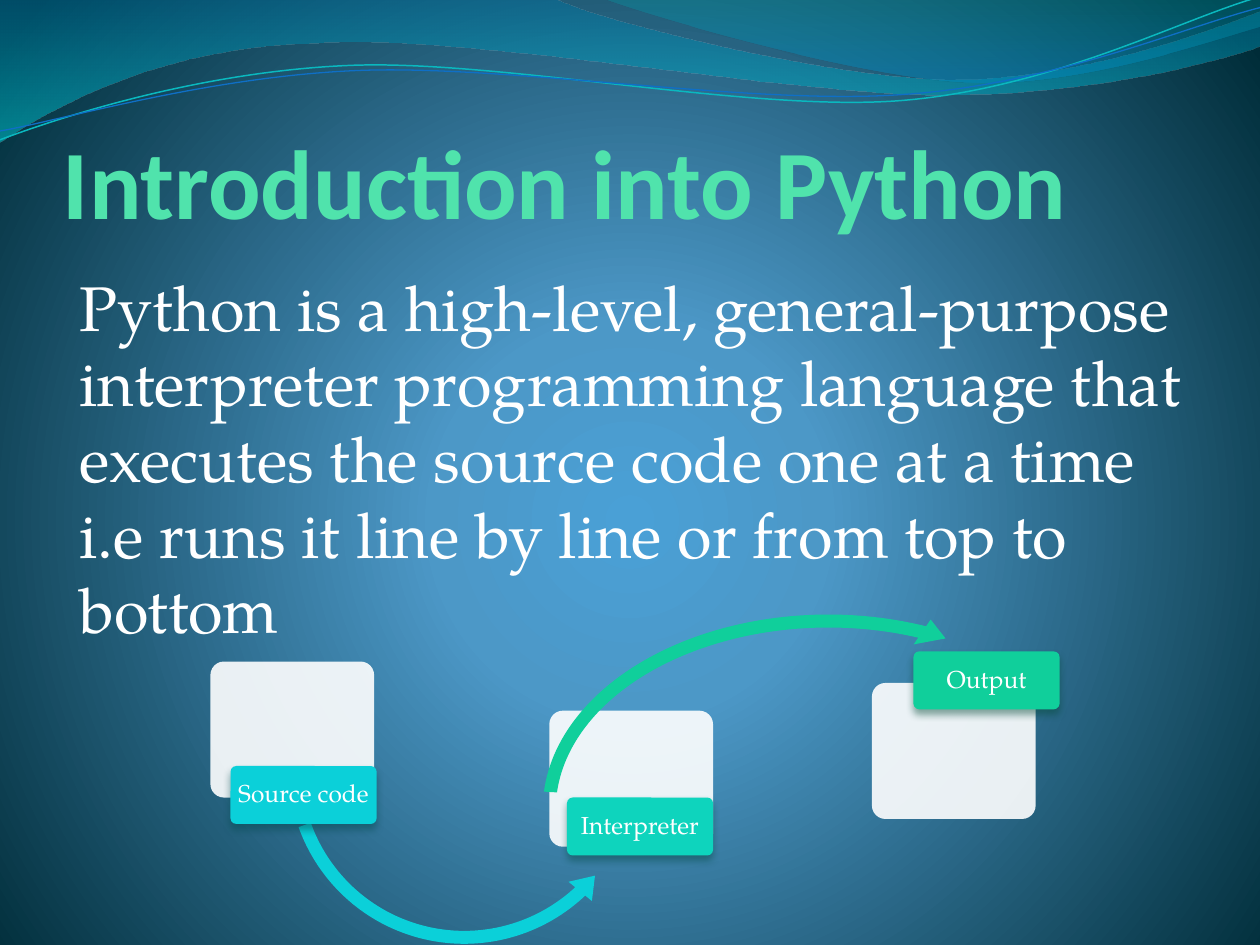
from math import cos, radians, sin

from lxml import etree
from pptx import Presentation
from pptx.dml.color import RGBColor
from pptx.enum.shapes import MSO_SHAPE
from pptx.enum.text import MSO_ANCHOR, PP_ALIGN
from pptx.oxml import parse_xml
from pptx.oxml.ns import nsdecls, qn
from pptx.util import Inches, Pt

ROUNDED = MSO_SHAPE.ROUNDED_RECTANGLE
LEFT_ARC = MSO_SHAPE.LEFT_CIRCULAR_ARROW
RIGHT_ARC = MSO_SHAPE.CIRCULAR_ARROW
TOP, MIDDLE, BOTTOM = MSO_ANCHOR.TOP, MSO_ANCHOR.MIDDLE, MSO_ANCHOR.BOTTOM
LEFT, CENTER = PP_ALIGN.LEFT, PP_ALIGN.CENTER

COLORS = {
    "title": "50E3AC", "text": "FFFFFF", "panel": "FFFFFF",
    "source": "0BD0D9", "interpreter": "0ED4BD", "output": "10CF9B",
    "source_shadow": "024B4E", "interpreter_shadow": "034C44", "output_shadow": "044A37",
    "teal_line": "0AB8BF", "blue_line": "0F6FC6",
    "glow": "4AA0D6", "mid": "4C98C7", "edge": "002C38",
    "wave_blue": "0074A1", "wave_cyan": "00C6CF",
    "crest_teal": "00A1A9", "crest_blue": "008BBF",
}
HEADING_FONT, BODY_FONT = "Calibri", "TeX Gyre Pagella"

TITLE = "Introduction into Python"
DEFINITION = ("Python is a high-level, general-purpose interpreter programming language "
              "that executes the source code one at a time i.e runs it line by line "
              "or from top to bottom")

STEPS = [
    {"label": "Source code", "color": "source", "panel": (1.67, 5.25), "tag": (1.83, 6.08),
     "arrow": (LEFT_ARC, (2.22, 4.63, 2.93, 2.93), (0.035, 4.38, 28.079, 96.189, 0.041)),
     "arrow_color": "source"},
    {"label": "Interpreter", "color": "interpreter", "panel": (4.36, 5.64), "tag": (4.5, 6.33),
     "arrow": (RIGHT_ARC, (4.24, 4.81, 4.67, 3.23), (0.032, 3.934, 178.708, 110.153, 0.037)),
     "arrow_color": "output"},
    {"label": "Output", "color": "output", "panel": (6.92, 5.42), "tag": (7.25, 5.17)},
]
PANEL_SIZE, TAG_SIZE, LABEL_INSET = (1.3, 1.08), (1.16, 0.46), 0.015

BACKDROP = [(0, "glow", 100), (25, "mid", 100), (100, "edge", 100)]
RADIAL = '<a:path path="circle"><a:fillToRect l="10000" t="110000" r="10000" b="100000"/></a:path>'
DOWNWARD = '<a:lin ang="5400000" scaled="1"/>'

WAVES = [
    {"box": (-0.01, -0.01, 10.02, 1.14), "start": (0, 0),
     "stops": [(0, "wave_blue", 45), (100, "wave_cyan", 55)],
     "segments": [
         [(4.4, -0.01)],
         [(4.76, 0.17), (6.64, 0.63), (7.58, 0.63)],
         [(8.53, 0.63), (9.58, 0.26), (10, 0.09)],
         [(10.01, 0.36)],
         [(9.83, 0.44), (8.7, 0.76), (7.46, 0.75)],
         [(6.22, 0.75), (3.82, 0.28), (2.57, 0.34)],
         [(1.29, 0.36), (0.46, 0.83), (-0.01, 1.13)],
         [(0, 0)]]},
    {"box": (4.79, -0.01, 5.21, 0.7), "start": (4.79, -0.01),
     "stops": [(0, "crest_teal", 30), (80, "crest_blue", 45)],
     "segments": [
         [(5.09, 0.11), (6.82, 0.62), (7.69, 0.65)],
         [(8.56, 0.69), (9.61, 0.32), (10, 0.21)],
         [(10, 0)],
         [(4.79, -0.01)]]},
    {"box": (-0.02, 0.22, 10.02, 0.71), "start": (0, 1.11),
     "line": ("teal_line", 0.85), "rotation": 357.3,
     "segments": [
         [(0.48, 0.93), (1.58, 0.57), (2.77, 0.52)],
         [(3.95, 0.47), (5.93, 0.89), (7.13, 0.8)],
         [(8.33, 0.71), (9.38, 0.15), (9.98, -0.02)]]},
    {"box": (-0.02, 0.3, 10.03, 0.58), "start": (0, 1.04),
     "line": ("blue_line", 0.75), "rotation": 357.3,
     "segments": [
         [(0.47, 0.96), (1.64, 0.61), (2.83, 0.56)],
         [(4.03, 0.51), (5.97, 0.84), (7.17, 0.75)],
         [(8.36, 0.67), (9.41, 0.21), (10, 0.06)]]},
]


def rgb(name):
    return RGBColor.from_string(COLORS[name])


def set_gradient(fill, element, stops, direction):
    fill.gradient()
    stop_xml = "".join(
        f'<a:gs pos="{pos * 1000}"><a:srgbClr val="{COLORS[color]}">'
        f'<a:alpha val="{alpha * 1000}"/></a:srgbClr></a:gs>'
        for pos, color, alpha in stops)
    gradient = parse_xml(f'<a:gradFill {nsdecls("a")} rotWithShape="1">'
                         f'<a:gsLst>{stop_xml}</a:gsLst>{direction}</a:gradFill>')
    current = next(element.iter(qn("a:gradFill")))
    current.getparent().replace(current, gradient)


def to_local(point, box, rotation):
    left, top, width, height = box
    dx, dy = point[0] - left - width / 2, point[1] - top - height / 2
    c, s = cos(radians(-rotation)), sin(radians(-rotation))
    return Inches(width / 2 + dx * c - dy * s), Inches(height / 2 + dx * s + dy * c)


def add_wave(slide, box, start, segments, stops=None, line=None, rotation=0):
    origin = to_local(start, box, rotation)
    curves = [[to_local(point, box, rotation) for point in segment] for segment in segments]
    builder = slide.shapes.build_freeform(*origin)
    builder.add_line_segments([curve[-1] for curve in curves], close=bool(stops))
    wave = builder.convert_to_shape()
    wave.left, wave.top, wave.width, wave.height = map(Inches, box)
    wave.rotation = rotation
    wave.shadow.inherit = False

    outline = next(wave._element.iter(qn("a:path")))
    outline.set("w", str(wave.width))
    outline.set("h", str(wave.height))
    for part in list(outline):
        outline.remove(part)
    for points in [[origin], *curves]:
        tag = "a:moveTo" if len(outline) == 0 else "a:lnTo" if len(points) == 1 else "a:cubicBezTo"
        part = etree.SubElement(outline, qn(tag))
        for x, y in points:
            etree.SubElement(part, qn("a:pt"), x=str(x), y=str(y))

    if stops:
        etree.SubElement(outline, qn("a:close"))
        set_gradient(wave.fill, wave._element, stops, DOWNWARD)
        wave.line.fill.background()
    else:
        wave.fill.background()
        wave.line.color.rgb = rgb(line[0])
        wave.line.width = Pt(line[1])


def add_block(slide, preset, box, color, adjustments):
    block = slide.shapes.add_shape(preset, *map(Inches, box))
    block.shadow.inherit = False
    block.fill.solid()
    block.fill.fore_color.rgb = rgb(color)
    block.line.fill.background()
    for index, value in enumerate(adjustments):
        block.adjustments[index] = value
    return block


def set_opacity(block, percent):
    color = block._element.spPr.find(qn("a:solidFill"))[0]
    etree.SubElement(color, qn("a:alpha")).set("val", str(percent * 1000))


def set_shadow(block, color):
    effects = block._element.spPr.find(qn("a:effectLst"))
    effects.append(parse_xml(
        f'<a:outerShdw {nsdecls("a")} blurRad="{Pt(4.5)}" dist="{Pt(3)}" dir="5400000" '
        f'rotWithShape="0"><a:srgbClr val="{COLORS[color]}"><a:alpha val="48000"/>'
        '</a:srgbClr></a:outerShdw>'))


def write(slide, text, box, size, font=BODY_FONT, color="text", bold=False, align=LEFT,
          anchor=TOP, insets=(0, 0), before=0, after=0, spacing=1.0):
    frame = slide.shapes.add_textbox(*map(Inches, box)).text_frame
    frame.word_wrap = True
    frame.vertical_anchor = anchor
    frame.margin_left = frame.margin_right = Inches(insets[0])
    frame.margin_top = frame.margin_bottom = Inches(insets[1])
    paragraph = frame.paragraphs[0]
    paragraph.alignment = align
    paragraph.space_before, paragraph.space_after = Pt(before), Pt(after)
    paragraph.line_spacing = spacing
    run = paragraph.add_run()
    run.text = text
    run.font.name, run.font.size, run.font.bold = font, Pt(size), bold
    run.font.color.rgb = rgb(color)


def main():
    prs = Presentation()
    prs.slide_width, prs.slide_height = Inches(10), Inches(7.5)
    slide = prs.slides.add_slide(prs.slide_layouts[6])
    set_gradient(slide.background.fill, slide._element, BACKDROP, RADIAL)
    for wave in WAVES:
        add_wave(slide, **wave)

    write(slide, TITLE, (0.5, 0.41, 8.5, 1.49), 56, font=HEADING_FONT, color="title",
          bold=True, anchor=BOTTOM)
    write(slide, DEFINITION, (0.58, 2.08, 9.09, 5.25), 36, insets=(0.05, 0.05), before=7.2)

    for step in STEPS:
        panel = add_block(slide, ROUNDED, step["panel"] + PANEL_SIZE, "panel", [0.1])
        set_opacity(panel, 90)
        if "arrow" in step:
            preset, box, adjustments = step["arrow"]
            add_block(slide, preset, box, step["arrow_color"], adjustments)
        tag = add_block(slide, ROUNDED, step["tag"] + TAG_SIZE, step["color"], [0.1])
        set_shadow(tag, step["color"] + "_shadow")
        label_box = (*(edge + LABEL_INSET for edge in step["tag"]),
                     *(side - 2 * LABEL_INSET for side in TAG_SIZE))
        write(slide, step["label"], label_box, 14, align=CENTER, anchor=MIDDLE,
              insets=(0.03, 0.02), after=4.9, spacing=0.9)

    prs.save("out.pptx")


if __name__ == "__main__":
    main()
